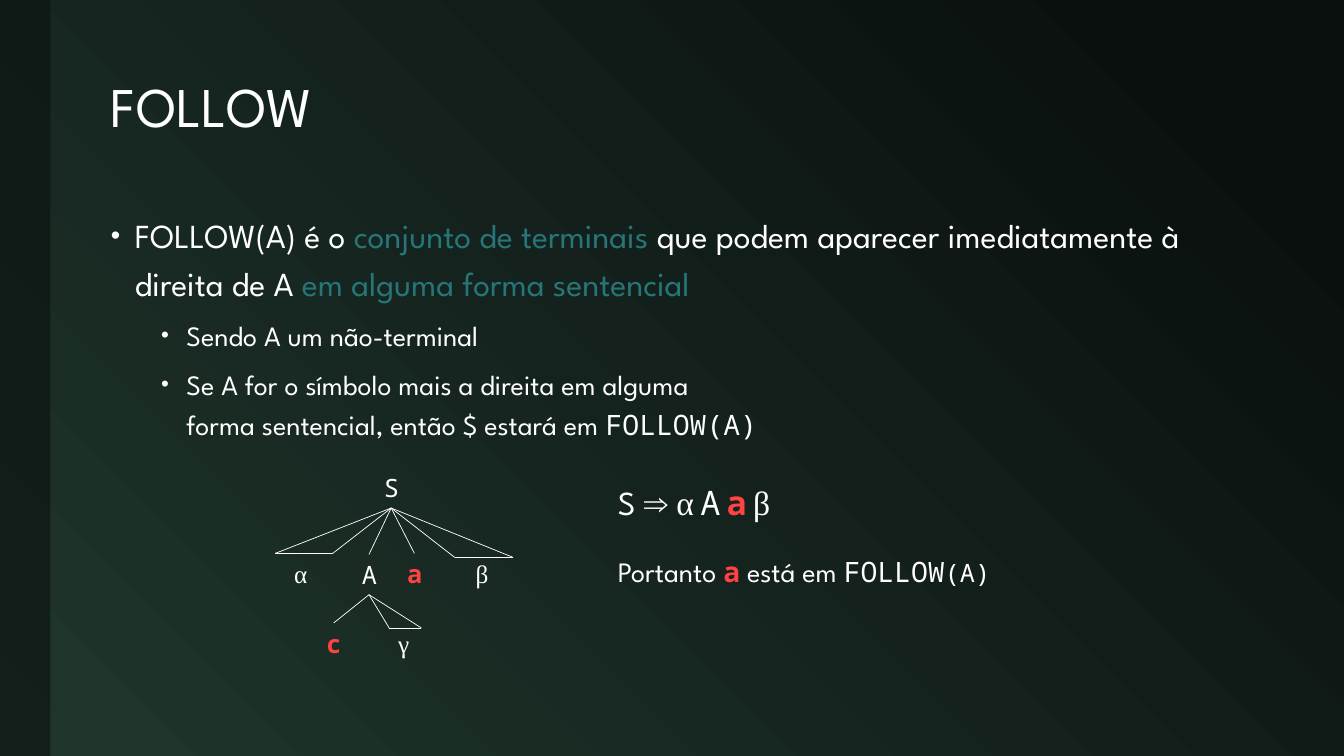
"""Builds the FOLLOW set slide with its derivation tree."""
import lxml.etree
import pptx
import pptx.dml.color
import pptx.enum.shapes
import pptx.enum.text
import pptx.oxml.ns
import pptx.util

Inches, Pt = pptx.util.Inches, pptx.util.Pt
ALIGN = pptx.enum.text.PP_ALIGN
ANCHOR = pptx.enum.text.MSO_ANCHOR
AUTO_SIZE = pptx.enum.text.MSO_AUTO_SIZE

SANS, MONO, SERIF = "League Spartan", "Noto Sans Mono", "Times New Roman"
WHITE, TEAL, RED = "FFFFFF", "267577", "FF4343"
DARK, GREEN = "0A100E", "20362D"

TITLE = [("FOLLOW", 40, SANS, WHITE)]
BULLETS = [
    (0, [("FOLLOW(A) é o ", 24, SANS, WHITE),
         ("conjunto de terminais", 24, SANS, TEAL),
         (" que podem aparecer imediatamente à direita de A ", 24, SANS, WHITE),
         ("em alguma forma sentencial", 24, SANS, TEAL)]),
    (1, [("Sendo A um não-terminal", 20, SANS, WHITE)]),
    (1, [("Se A for o símbolo mais a direita em alguma \n"
          "forma sentencial, então $ estará em ", 20, SANS, WHITE),
         ("FOLLOW(A)", 20, MONO, WHITE)]),
]
BULLET_LEVELS = [(0.24, 0.24, 18), (0.75, 0.25, 6)]
DERIVATION = [("S ", 24, SANS, WHITE), ("⇒ α", 24, SERIF, WHITE),
              (" ", 18, SANS, WHITE), ("A", 24, MONO, WHITE),
              (" ", 18, SANS, WHITE), ("a", 24, MONO, RED),
              (" ", 18, SANS, WHITE), ("β", 24, SERIF, WHITE)]
CONCLUSION = [("Portanto ", 20, SANS, WHITE), ("a", 20, MONO, RED),
              (" está em ", 20, SANS, WHITE), ("FOLLOW", 20, MONO, WHITE),
              ("(A)", 18, MONO, WHITE)]

TREE_LABELS = [
    ("S", 3.71, 4.64, MONO, WHITE), ("α", 2.82, 5.49, SERIF, WHITE),
    ("A", 3.49, 5.5, MONO, WHITE), ("a", 3.94, 5.49, MONO, RED),
    ("β", 4.62, 5.49, SERIF, WHITE), ("c", 3.14, 6.18, MONO, RED),
    ("γ", 3.85, 6.18, SERIF, WHITE),
]
ROOT, NODE_A = (3.88, 5.04), (3.66, 5.9)
BRANCHES = [(ROOT, (3.66, 5.5)), (ROOT, (4.11, 5.49)), (NODE_A, (3.31, 6.18))]
SUBTREES = [(ROOT, (2.73, 5.49), (3.3, 5.49)),
            (ROOT, (4.51, 5.53), (5.09, 5.53)),
            (NODE_A, (3.86, 6.23), (4.18, 6.23))]


def color(hex_code):
    return pptx.dml.color.RGBColor.from_string(hex_code)


def add_child(parent, tag, **attributes):
    return lxml.etree.SubElement(parent, pptx.oxml.ns.qn(tag), attributes)


def add_runs(paragraph, runs):
    for text, size, font_name, hex_code in runs:
        for index, part in enumerate(text.split("\n")):
            if index:
                paragraph.add_line_break()
            run = paragraph.add_run()
            run.text = part
            run.font.size = Pt(size)
            run.font.name = font_name
            run.font.bold = hex_code == RED
            run.font.color.rgb = color(hex_code)


def add_text(slide, box, paragraphs, wrap=True, auto_size=AUTO_SIZE.NONE):
    frame = slide.shapes.add_textbox(*map(Inches, box)).text_frame
    frame.word_wrap = wrap
    frame.auto_size = auto_size
    for index, runs in enumerate(paragraphs):
        paragraph = frame.add_paragraph() if index else frame.paragraphs[0]
        add_runs(paragraph, runs)
    return frame


def format_bullet(paragraph, level):
    margin, hanging, space = BULLET_LEVELS[level]
    paragraph.level = level
    paragraph.line_spacing = 1.2
    paragraph.space_before = Pt(space)
    properties = paragraph._p.get_or_add_pPr()
    properties.set("marL", str(Inches(margin)))
    properties.set("indent", str(-Inches(hanging)))
    add_child(properties, "a:buSzPct", val="80000")
    add_child(properties, "a:buFont", typeface="Arial")
    add_child(properties, "a:buChar", char="•")


def add_line(slide, start, end):
    connector = slide.shapes.add_connector(
        pptx.enum.shapes.MSO_CONNECTOR.STRAIGHT, *map(Inches, start + end))
    connector.line.color.rgb = color(WHITE)
    connector.line.width = Pt(0.5)
    add_child(connector._element.spPr, "a:effectLst")


def add_backdrop(slide, height):
    fill = slide.background.fill
    fill.gradient()
    fill.gradient_angle = 225
    for stop, (position, hex_code) in zip(fill.gradient_stops,
                                          [(0.1, DARK), (1, GREEN)]):
        stop.position = position
        stop.color.rgb = color(hex_code)
    band = slide.shapes.add_shape(
        pptx.enum.shapes.MSO_SHAPE.RECTANGLE, 0, 0, Inches(0.5), height)
    band.shadow.inherit = False
    band.line.fill.background()
    band.fill.solid()
    band.fill.fore_color.rgb = color(DARK)
    band_color = band._element.spPr.find(".//" + pptx.oxml.ns.qn("a:srgbClr"))
    add_child(band_color, "a:alpha", val="60000")


def add_tree(slide):
    for text, left, top, font_name, hex_code in TREE_LABELS:
        frame = add_text(slide, (left, top, 0.34, 0.4),
                         [[(text, 18, font_name, hex_code)]],
                         wrap=False, auto_size=AUTO_SIZE.SHAPE_TO_FIT_TEXT)
        if text == "S":
            frame.paragraphs[0].alignment = ALIGN.RIGHT
    for start, end in BRANCHES:
        add_line(slide, start, end)
    for apex, left, right in SUBTREES:
        for start, end in [(apex, left), (left, right), (right, apex)]:
            add_line(slide, start, end)


def main():
    presentation = pptx.Presentation()
    presentation.slide_width = Inches(13.33)
    presentation.slide_height = Inches(7.5)
    slide = presentation.slides.add_slide(presentation.slide_layouts[6])
    add_backdrop(slide, presentation.slide_height)

    title = add_text(slide, (1, 0.42, 11.65, 1.33), [TITLE])
    title.vertical_anchor = ANCHOR.MIDDLE
    title.paragraphs[0].line_spacing = 0.9

    body = add_text(slide, (1, 2, 11.65, 4.83), [runs for _, runs in BULLETS])
    for paragraph, (level, _) in zip(body.paragraphs, BULLETS):
        format_bullet(paragraph, level)

    add_tree(slide)
    result = add_text(slide, (6.03, 4.73, 4.73, 1.25), [DERIVATION, CONCLUSION],
                      auto_size=AUTO_SIZE.SHAPE_TO_FIT_TEXT)
    result.paragraphs[1].space_before = Pt(23)
    presentation.save("out.pptx")


if __name__ == "__main__":
    main()
